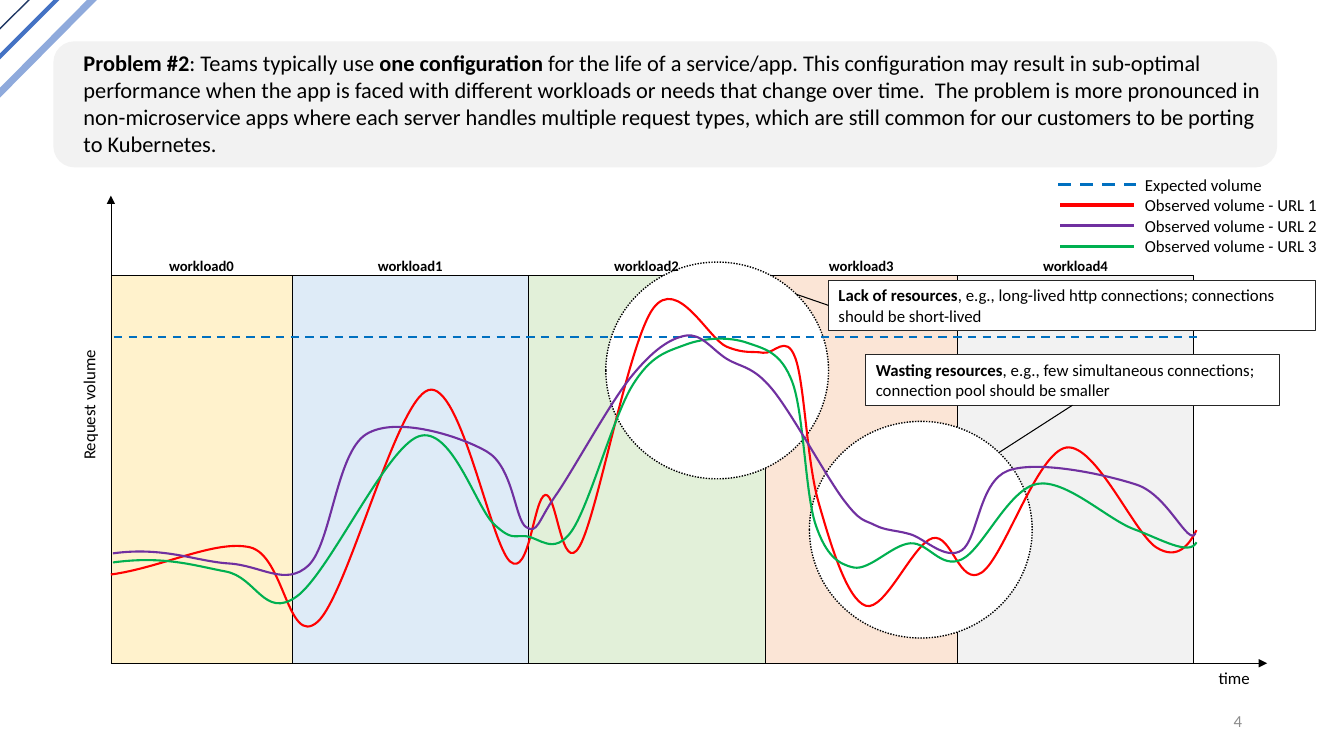
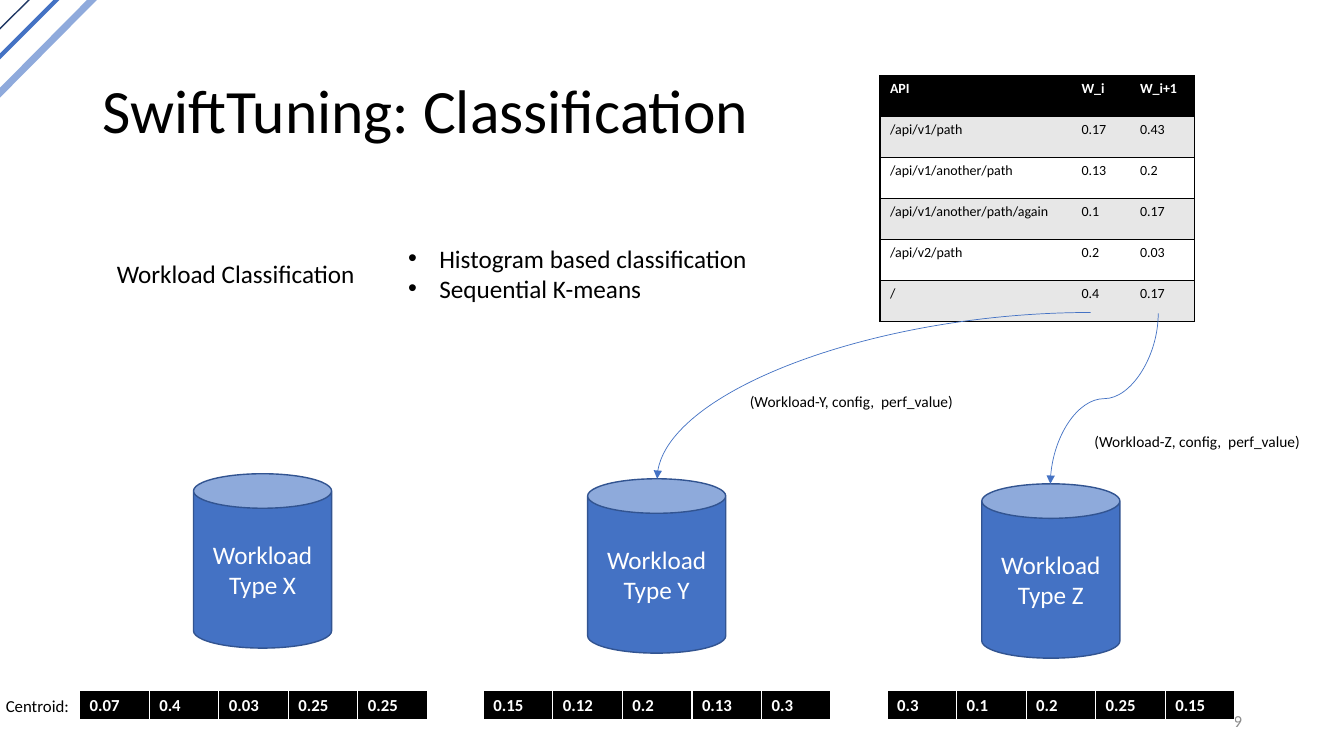
from lxml import etree
from pptx import Presentation
from pptx import util as u
from pptx.dml.color import RGBColor
from pptx.enum import dml, shapes, text
from pptx.oxml.ns import qn

STEP = u.Inches(0.1)
COLS, ROWS = 133.33, 75
FONT = "Calibri"
C = {
    "black": "000000", "white": "FFFFFF", "navy": "203864", "blue": "4472C4",
    "sky": "8FAADC", "edge": "325491", "ink": "262626", "muted": "8C8C8C",
    "panel": "F2F2F2", "stripe": "E7E7E7", "yellow": "FFF2CC", "pale": "DEEBF7",
    "mint": "E2F0D9", "peach": "FBE5D6", "expected": "0070C0", "url1": "FF0000",
    "url2": "7030A0", "url3": "00B050",
}
BANDS = {"yellow": 11, "pale": 29, "mint": 52.4, "peach": 75.9, "panel": 95}
BANDS_END = 118.4
LEGEND = [("Expected volume", "expected"), ("Observed volume - URL 1", "url1"),
          ("Observed volume - URL 2", "url2"), ("Observed volume - URL 3", "url3")]
CURVES = {
    "url1": [(11, 57), (24.8, 54.3), (31.5, 61.7), (42.5, 38.7), (50.6, 55.7), (54.1, 49.1),
             (57.5, 54.2), (64.8, 30.6), (72.1, 34.4), (75.7, 35), (78.9, 35.5), (81.2, 49.8),
             (85.9, 60.1), (92.5, 53.4), (97.4, 56.8), (105.8, 44.4), (114.7, 54.3),
             (118.7, 52.6)],
    "url3": [(11.2, 55.8), (22.4, 56.7), (29.4, 59.2), (41.5, 43.3), (49, 52), (52.2, 53.2),
             (56.7, 52.7), (62.7, 38.3), (68, 34.2), (74.1, 34), (78.6, 37.9), (80.9, 52),
             (84.7, 56.3), (90.3, 53.9), (95.4, 55.5), (102.9, 48), (112.5, 52.5),
             (118.7, 53.8)],
    "url2": [(11.2, 54.9), (22.7, 55.9), (30.6, 56.1), (36.3, 43.1), (48.3, 44.8), (52.2, 52.3),
             (55.1, 49.2), (62.6, 37.4), (68, 33.3), (72.1, 35.6), (76.6, 38.6), (83.7, 49.6),
             (86.8, 52.1), (90.3, 53), (95.4, 54.6), (100, 46.7), (112.8, 48.1),
             (118.6, 52.9)],
}
CURVE_START, CURVE_END = (5.1, -0.7), (0.7, -1.4)
API_ROWS = [
    ("API", "W_i", "W_i+1"), ("/api/v1/path", "0.17", "0.43"),
    ("/api/v1/another/path", "0.13", "0.2"), ("/api/v1/another/path/again", "0.1", "0.17"),
    ("/api/v2/path", "0.2", "0.03"), ("/", "0.4", "0.17"),
]
CENTROIDS = {
    "X": ("0.07", "0.4", "0.03", "0.25", "0.25"),
    "Y": ("0.15", "0.12", "0.2", "0.13", "0.3"),
    "Z": ("0.3", "0.1", "0.2", "0.25", "0.15"),
}


def g(*units):
    """Turn grid columns or rows into lengths."""
    return [round(n * STEP) for n in units]


def rgb(name):
    """Look up a colour."""
    return RGBColor.from_string(C[name])


def stroke(line, color, width, dash=None):
    """Style an outline."""
    line.color.rgb = rgb(color)
    line.width = u.Pt(width)
    if dash:
        line.dash_style = dash


def write(tf, paras, size, color="black", bold=False, align=None):
    """Fill a text frame; the parts between double stars are bold."""
    for i, para in enumerate(paras):
        p = tf.add_paragraph() if i else tf.paragraphs[0]
        p.alignment = align
        for n, part in enumerate(para.split("**")):
            if part:
                r = p.add_run()
                r.text = part
                r.font.name, r.font.size = FONT, u.Pt(size)
                r.font.bold = bold or n % 2 == 1
                r.font.color.rgb = rgb(color)


def label(slide, box, paras, size, wrap=False, anchor=text.MSO_ANCHOR.TOP, **style):
    """Add a text box."""
    tb = slide.shapes.add_textbox(*g(*box))
    tf = tb.text_frame
    tf.word_wrap, tf.vertical_anchor = wrap, anchor
    if not wrap:
        tf.auto_size = text.MSO_AUTO_SIZE.SHAPE_TO_FIT_TEXT
    write(tf, paras, size, **style)
    return tb


def block(slide, kind, box, fill, line=None):
    """Add a filled preset shape; line is (colour, width[, dash])."""
    sp = slide.shapes.add_shape(kind, *g(*box))
    sp.shadow.inherit = False
    sp.fill.solid()
    sp.fill.fore_color.rgb = rgb(fill)
    if line:
        stroke(sp.line, *line)
    else:
        sp.line.fill.background()
    return sp


def connect(slide, ends, color, width, dash=None, arrow=False,
            kind=shapes.MSO_CONNECTOR.STRAIGHT):
    """Add a connector without shadow."""
    cx = slide.shapes.add_connector(kind, *g(*ends))
    stroke(cx.line, color, width, dash)
    if arrow:
        etree.SubElement(cx.line._get_or_add_ln(), qn("a:tailEnd"), type="triangle")
    etree.SubElement(cx._element.spPr, qn("a:effectLst"))
    return cx


def curve(slide, points, color):
    """Draw a smooth curve whose tangents follow the neighbouring points."""
    inner = [((c[0] - a[0]) / 6, (c[1] - a[1]) / 6) for a, c in zip(points, points[2:])]
    slopes = [CURVE_START] + inner + [CURVE_END]
    pts = [g(*pt) for pt in points]
    fb = slide.shapes.build_freeform(*pts[0], scale=1.0)
    fb.add_line_segments(pts[1:], close=False)
    sp = fb.convert_to_shape()
    sp.shadow.inherit = False
    sp.fill.background()
    stroke(sp.line, color, 1.5)
    for i, seg in enumerate(list(sp._element.iter(qn("a:lnTo")))):
        (x0, y0), (x1, y1) = points[i:i + 2]
        (dx0, dy0), (dx1, dy1) = slopes[i:i + 2]
        bez = etree.Element(qn("a:cubicBezTo"))
        for pt in ((x0 + dx0, y0 + dy0), (x1 - dx1, y1 - dy1), (x1, y1)):
            x, y = g(*pt)
            etree.SubElement(bez, qn("a:pt"), x=str(x - sp.left), y=str(y - sp.top))
        seg.getparent().replace(seg, bez)


def callout(slide, box, para):
    """Add an outlined note."""
    sp = block(slide, shapes.MSO_SHAPE.RECTANGLE, box, "white", ("ink", 0.75))
    sp.text_frame.word_wrap = True
    sp.text_frame.vertical_anchor = text.MSO_ANCHOR.TOP
    write(sp.text_frame, [para], 12, align=text.PP_ALIGN.LEFT)
    return sp


def borders(cell, sides):
    """Set cell borders from {side: (colour or None, width)}."""
    tcPr = cell._tc.get_or_add_tcPr()
    for side in "LRTB":
        color, width = sides[side]
        ln = etree.SubElement(tcPr, qn("a:ln" + side), w=str(u.Pt(width)))
        if color:
            fill = etree.SubElement(ln, qn("a:solidFill"))
            etree.SubElement(fill, qn("a:srgbClr"), val=C[color])
        else:
            etree.SubElement(ln, qn("a:noFill"))


def table(slide, left, top, widths, height, rows, size, sides_of):
    """Add a table with a black header row and striped body."""
    box = g(left, top, sum(widths), height * len(rows))
    tbl = slide.shapes.add_table(len(rows), len(widths), *box).table
    for col, width in zip(tbl.columns, g(*widths)):
        col.width = width
    for i, row in enumerate(rows):
        fill = "black" if i == 0 else ("white", "stripe")[i % 2]
        for j, value in enumerate(row):
            cell = tbl.cell(i, j)
            borders(cell, sides_of(j))
            cell.fill.solid()
            cell.fill.fore_color.rgb = rgb(fill)
            write(cell.text_frame, [value], size, "black" if i else "white", i == 0)


def api_sides(col):
    """Rule every row, and only the outer columns."""
    rule, none = ("black", 1), (None, 1)
    return {"L": none if col else rule, "R": rule if col == 2 else none, "T": rule, "B": rule}


def centroid_sides(col):
    """Rule every cell in white, heavier below."""
    return {**dict.fromkeys("LRT", ("white", 1)), "B": ("white", 3)}


def new_slide(prs, number):
    """Add a slide with corner stripes and a page number."""
    slide = prs.slides.add_slide(prs.slide_layouts[6])
    connect(slide, (-2.5, 5.3, 5.2, -2.3), "navy", 1)
    connect(slide, (-1.6, 7.2, 6.5, -0.9), "blue", 3)
    connect(slide, (-1.1, 10.3, 10.3, -1.2), "sky", 5)
    label(slide, (94.2, 69.5, 30, 4), [number], 12, wrap=True, color="muted",
          anchor=text.MSO_ANCHOR.MIDDLE, align=text.PP_ALIGN.RIGHT)
    return slide


def problem_slide(prs):
    """Build the request volume diagram."""
    slide = new_slide(prs, "4")
    kinds, dash = shapes.MSO_SHAPE, dml.MSO_LINE.DASH
    block(slide, kinds.ROUNDED_RECTANGLE, (5.3, 4.1, 121.4, 12.5), "panel")
    label(slide, (7.3, 4.4, 119.5, 11.8), [
        "**Problem #2**: Teams typically use **one configuration **for the life of a service/app. "
        "This configuration may result in sub-optimal performance when the app is faced with "
        "different workloads or needs that change over time.  The problem is more pronounced in "
        "non-microservice apps where each server handles multiple request types, which are still "
        "common for our customers to be porting to Kubernetes."], 16, wrap=True)
    edges = [*BANDS.values(), BANDS_END]
    spans = list(zip(edges, edges[1:]))
    for fill, (left, right) in zip(BANDS, spans):
        block(slide, kinds.RECTANGLE, (left, 27.3, right - left, 38.5), fill, ("black", 0.25))
    for left, top in ((80.3, 41.8), (60.1, 26)):
        block(slide, kinds.OVAL, (left, top, 22.1, 21.5), "white",
              ("black", 1, dml.MSO_LINE.ROUND_DOT))
    for end in ((125.7, 65.8), (11, 19.4)):
        connect(slide, (11, 65.8, *end), "black", 0.5, arrow=True)
    label(slide, (119.9, 65.8, 5.2, 3), ["time"], 12)
    label(slide, (2.3, 38.6, 13, 3), ["Request volume"], 12).rotation = 270
    connect(slide, (11.3, 33.4, 118.8, 33.4), "expected", 1.5, dash)
    for color, points in CURVES.items():
        curve(slide, points, color)
    for i, (left, right) in enumerate(spans):
        label(slide, ((left + right - 8.4) / 2, 25, 8.7, 2.9), [f"workload{i}"], 10.5, bold=True)
    wasting = callout(slide, (85.9, 35.2, 41, 5), "**Wasting resources**, e.g., few simultaneous "
                      "connections; connection pool should be smaller")
    lack = callout(slide, (82.2, 27.8, 48.3, 5), "**Lack of resources**, e.g., long-lived http "
                   "connections; connections should be short-lived")
    connect(slide, (79, 29.2, 82.2, 30.3), "black", 0.75).end_connect(lack, 1)
    connect(slide, (99.1, 44.9, 106.4, 40.2), "black", 0.75).end_connect(wasting, 2)
    for i, (name, color) in enumerate(LEGEND):
        y = 18.3 + 2.04 * i
        start, end = (105.2, 112.5) if i else (105, 112.7)
        connect(slide, (start, y, end, y), color, 2.25, None if i else dash)
        label(slide, (112.6, y - 1.5, 19.3 if i else 13.7, 3), [name], 12)


def classification_slide(prs):
    """Build the workload classification diagram."""
    slide = new_slide(prs, "9")
    title = label(slide, (9.2, 4, 115, 14.5), ["SwiftTuning: Classification"], 44, wrap=True,
                  anchor=text.MSO_ANCHOR.MIDDLE)
    title.text_frame.paragraphs[0].line_spacing = 0.9
    label(slide, (10.6, 25.1, 25.9, 4), ["Workload Classification"], 18)
    methods = label(slide, (39.5, 23.6, 36, 10.1),
                    ["Histogram based classification", "Sequential K-means"], 18)
    for p in methods.text_frame.paragraphs:
        pPr = p._p.get_or_add_pPr()
        pPr.set("marL", str(u.Inches(0.31)))
        pPr.set("indent", str(-u.Inches(0.31)))
        etree.SubElement(pPr, qn("a:buFont"), typeface="Arial")
        etree.SubElement(pPr, qn("a:buChar"), char="•")
    table(slide, 87.3, 7.5, (19, 5.8, 6.4), 4.07, API_ROWS, 10, api_sides)
    for i, (name, centroid) in enumerate(CENTROIDS.items()):
        can = block(slide, shapes.MSO_SHAPE.CAN, (19.2 + 39.1 * i, 47 + i / 2, 13.7, 17.3),
                    "blue", ("edge", 1))
        can.text_frame.vertical_anchor = text.MSO_ANCHOR.MIDDLE
        write(can.text_frame, ["Workload", f"Type {name}"], 18, "white",
              align=text.PP_ALIGN.CENTER)
        table(slide, 7.9 + 40.05 * i, 68.5, (6.9,) * 5, 2.9, [centroid], 12, centroid_sides)
    bend = shapes.MSO_CONNECTOR.CURVE
    to_y = connect(slide, (108.2, 31, 65.2, 47.5), "blue", 0.5, arrow=True, kind=bend)
    to_y._element.spPr.find(qn("a:prstGeom")).set("prst", "curvedConnector2")
    to_z = connect(slide, (101.1, 34.2, 118, 44.9), "blue", 0.5, arrow=True, kind=bend)
    to_z._element.spPr.find(qn("a:xfrm")).set("rot", str(90 * 60000))
    label(slide, (-0.4, 68.5, 8.3, 3), ["Centroid:"], 12)
    for name, left, top in (("Z", 107.6, 42.4), ("Y", 73.4, 38.4)):
        label(slide, (left, top, 22.6, 2.9), [f"(Workload-{name}, config,  perf_value)"], 11)


def main():
    """Build and save the deck."""
    prs = Presentation()
    prs.slide_width, prs.slide_height = g(COLS, ROWS)
    problem_slide(prs)
    classification_slide(prs)
    prs.save("out.pptx")


if __name__ == "__main__":
    main()
